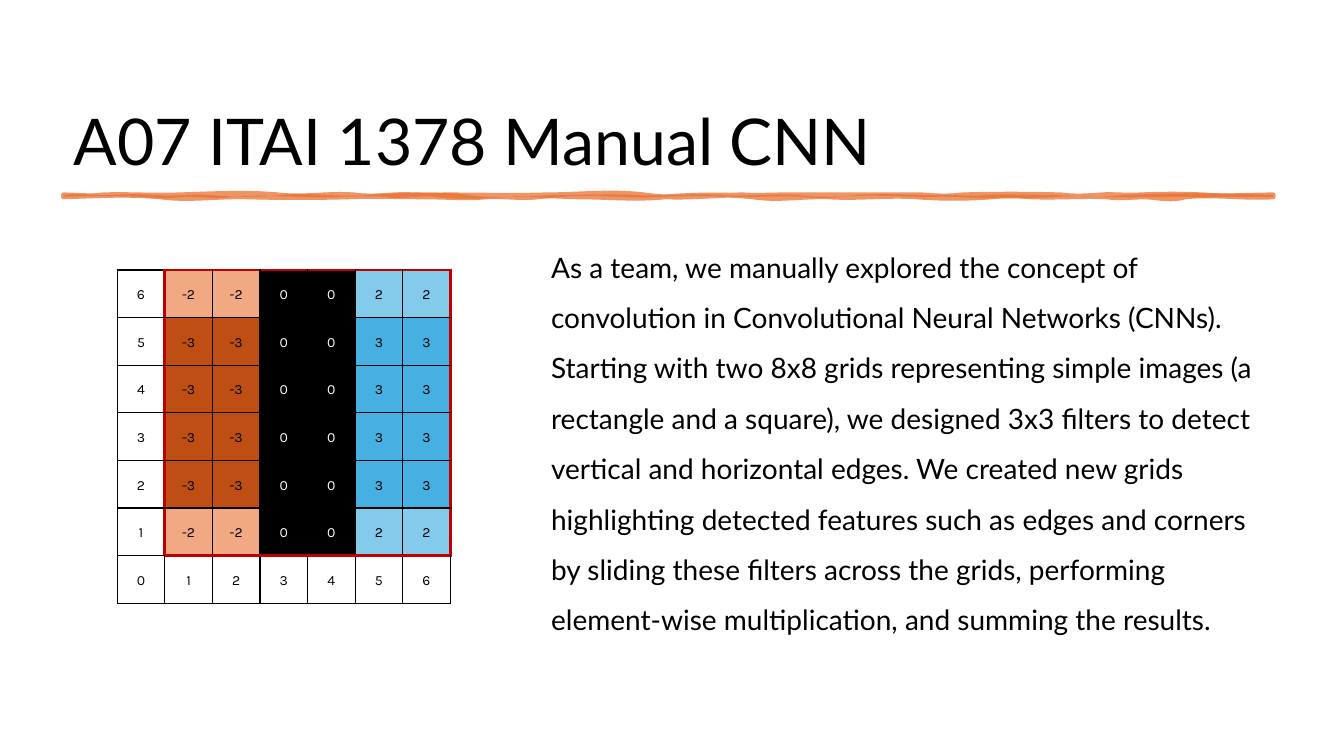
from typing import NamedTuple

from lxml.etree import SubElement
from pptx import Presentation
from pptx.dml.color import RGBColor
from pptx.enum.text import MSO_ANCHOR, PP_ALIGN
from pptx.oxml.ns import qn
from pptx.util import Pt

COLORS = {"black": "000000", "white": "FFFFFF", "orange": "E97132", "frame": "C00000"}
VALUE_FILLS = {-3: "BF4E14", -2: "F1A983", 0: "000000", 2: "83CAEB", 3: "45B0E1"}

CORNER_ROW = [-2, -2, 0, 0, 2, 2]
MIDDLE_ROW = [-3, -3, 0, 0, 3, 3]
FEATURE_MAP = [CORNER_ROW, *[MIDDLE_ROW] * 4, CORNER_ROW]
MAP_SIZE = len(FEATURE_MAP)
CELL_SIZE = 34

BODY = (
    "As a team, we manually explored the concept of convolution in Convolutional "
    "Neural Networks (CNNs). Starting with two 8x8 grids representing simple images "
    "(a rectangle and a square), we designed 3x3 filters to detect vertical and "
    "horizontal edges. We created new grids highlighting detected features such as "
    "edges and corners by sliding these filters across the grids, performing "
    "element-wise multiplication, and summing the results."
)


class TextBlock(NamedTuple):
    text: str
    left: float
    top: float
    width: float
    height: float
    size: float
    line_spacing: float
    anchor: MSO_ANCHOR


class Wave(NamedTuple):
    end: float
    first_bend: float
    second_bend: float


TEXT_BLOCKS = [
    TextBlock("A07 ITAI 1378 Manual CNN", 45.4, 18.7, 869.8, 113, 46, 0.9, MSO_ANCHOR.BOTTOM),
    TextBlock(BODY, 386.6, 163.2, 528.5, 324, 20, 1.5, MSO_ANCHOR.TOP),
]

RULE_LEFT, RULE_RIGHT = 45.4, 909.4
RULE_TOP, RULE_BOTTOM = 139.2, 140.6
STROKE_TOP = [
    Wave(73.4, 0, 1.4), Wave(127.4, -0.7, 0.7), Wave(198.7, -0.7, -2.2),
    Wave(252.7, 2.2, -1.4), Wave(280.8, 1.4, 0.7), Wave(317.5, -0.7, 0.7),
    Wave(388.8, 0, 0.7), Wave(460.1, 0, -2.9), Wave(531.4, 3.6, 0),
    Wave(559.4, 0.7, 0), Wave(613.4, 0, 0), Wave(658.8, 0, 0),
    Wave(686.9, 0.7, 1.4), Wave(758.2, -0.7, -0.7), Wave(786.2, 1.4, 0.7),
    Wave(814.3, -0.7, 0.7), Wave(859.7, -0.7, -0.7), Wave(RULE_RIGHT, 1.4, 0),
]
STROKE_BOTTOM = [
    Wave(846.7, 1.4, -2.2), Wave(818.6, 2.9, 0.7), Wave(790.6, 0, 1.4),
    Wave(736.6, -0.7, 0.7), Wave(708.5, -0.7, -1.4), Wave(654.5, 1.4, 1.4),
    Wave(591.8, -1.4, 1.4), Wave(537.8, -0.7, 2.9), Wave(475.2, -2.2, -1.4),
    Wave(412.6, 2.2, 0), Wave(384.5, 0, -1.4), Wave(347.8, 1.4, -0.7),
    Wave(302.4, 1.4, 0), Wave(248.4, 0, -0.7), Wave(177.1, 0.7, 0.7),
    Wave(114.5, -0.7, 2.9), Wave(RULE_LEFT, -2.2, -0.7),
]
FILL_TOP = [
    Wave(82.1, -1.4, 0.7), Wave(110.2, -0.7, -0.7), Wave(146.9, 1.4, -0.7),
    Wave(200.9, 1.4, 2.2), Wave(263.5, -2.2, 2.2), Wave(334.8, -1.4, -2.9),
    Wave(406.1, 3.6, 0), Wave(451.4, 0, -0.7), Wave(514.1, 1.4, -1.4),
    Wave(568.1, 1.4, -0.7), Wave(613.4, 1.4, 2.2), Wave(676.1, -1.4, 0.7),
    Wave(704.2, 0, 1.4), Wave(749.5, -0.7, 0), Wave(803.5, 0.7, 2.2),
    Wave(RULE_RIGHT, -1.4, -1.4),
]
FILL_BOTTOM = [
    Wave(872.6, 0, 0), Wave(844.6, 0.7, 0.7), Wave(790.6, 0, 0.7),
    Wave(753.8, -0.7, -0.7), Wave(682.6, 1.4, 1.4), Wave(654.5, -0.7, 0.7),
    Wave(600.5, -0.7, -1.4), Wave(572.4, 1.4, 0.7), Wave(535.7, -0.7, 0),
    Wave(473, 0, -1.4), Wave(401.8, 1.4, -2.2), Wave(365, 2.2, -1.4),
    Wave(311, 1.4, 2.2), Wave(274.3, -1.4, 2.2), Wave(211.7, -1.4, 1.4),
    Wave(166.3, -0.7, -1.4), Wave(129.6, 2.2, -0.7), Wave(101.5, 1.4, 1.4),
    Wave(RULE_LEFT, -0.7, -0.7),
]


def color(value: str) -> RGBColor:
    return RGBColor.from_string(value)


def style_span(span, font_name: str, size: float, fill: str) -> None:
    span.font.name = font_name
    span.font.size = Pt(size)
    span.font.color.rgb = color(fill)


def add_text(page, block: TextBlock) -> None:
    box = page.shapes.add_textbox(Pt(block.left), Pt(block.top), Pt(block.width), Pt(block.height))
    frame = box.text_frame
    frame.word_wrap = True
    frame.vertical_anchor = block.anchor
    frame.text = block.text
    para = frame.paragraphs[0]
    para.line_spacing = block.line_spacing
    style_span(para.runs[0], "Lato", block.size, COLORS["black"])


def add_step(outline, kind: str, points: list[tuple[float, float]]) -> None:
    step = SubElement(outline, qn(f"a:{kind}"))
    for x, y in points:
        SubElement(step, qn("a:pt"), x=str(Pt(x - RULE_LEFT)), y=str(Pt(y - RULE_TOP)))


def add_edge(outline, start: float, level: float, waves: list[Wave]) -> None:
    for wave in waves:
        third = (wave.end - start) / 3
        add_step(outline, "cubicBezTo", [
            (start + third, level + wave.first_bend),
            (wave.end - third, level + wave.second_bend),
            (wave.end, level),
        ])
        start = wave.end


def add_outline(outlines, top: list[Wave], bottom: list[Wave], **options: str) -> None:
    width, height = Pt(RULE_RIGHT - RULE_LEFT), Pt(RULE_BOTTOM - RULE_TOP)
    outline = SubElement(outlines, qn("a:path"), w=str(width), h=str(height), **options)
    add_step(outline, "moveTo", [(RULE_LEFT, RULE_TOP)])
    add_edge(outline, RULE_LEFT, RULE_TOP, top)
    add_step(outline, "lnTo", [(RULE_RIGHT, RULE_BOTTOM)])
    add_edge(outline, RULE_RIGHT, RULE_BOTTOM, bottom)
    SubElement(outline, qn("a:close"))


def add_brush_rule(page) -> None:
    left, right, top, bottom = map(Pt, (RULE_LEFT, RULE_RIGHT, RULE_TOP, RULE_BOTTOM))
    builder = page.shapes.build_freeform(left, top)
    builder.add_line_segments([(right, top), (right, bottom), (left, bottom)])
    rule = builder.convert_to_shape()
    outlines = next(rule.element.spPr.iter(qn("a:pathLst")))
    outlines.remove(outlines[0])
    add_outline(outlines, STROKE_TOP, STROKE_BOTTOM, fill="none")
    add_outline(outlines, FILL_TOP, FILL_BOTTOM, stroke="0")
    rule.shadow.inherit = False
    rule.line.width = Pt(3.5)
    for paint in (rule.fill, rule.line.fill):
        paint.solid()
        paint.fore_color.rgb = color(COLORS["orange"])
    for shade in rule.element.spPr.iter(qn("a:srgbClr")):
        SubElement(shade, qn("a:alpha"), val="75000")


def add_border(cell, side: str, framed: bool) -> None:
    width = Pt(2.25 if framed else 1)
    line = SubElement(cell._tc.get_or_add_tcPr(), qn(f"a:ln{side}"), w=str(width))
    paint = SubElement(line, qn("a:solidFill"))
    SubElement(paint, qn("a:srgbClr"), val=COLORS["frame" if framed else "black"])


def style_cell(cell, row: int, column: int, value: int) -> None:
    in_rows, in_columns = row < MAP_SIZE, column > 0
    in_map = in_rows and in_columns
    add_border(cell, "L", in_rows and column == 1)
    add_border(cell, "R", in_rows and column in (0, MAP_SIZE))
    add_border(cell, "T", in_columns and row in (0, MAP_SIZE))
    add_border(cell, "B", in_columns and row == MAP_SIZE - 1)
    cell.fill.solid()
    cell.fill.fore_color.rgb = color(VALUE_FILLS[value] if in_map else COLORS["white"])
    cell.margin_left = cell.margin_right = Pt(4.3)
    cell.margin_top = cell.margin_bottom = Pt(0)
    cell.vertical_anchor = MSO_ANCHOR.MIDDLE
    cell.text_frame.text = str(value)
    para = cell.text_frame.paragraphs[0]
    para.alignment = PP_ALIGN.CENTER
    para.line_spacing = 1.16
    style_span(para.runs[0], "Karla", 10, COLORS["white" if in_map and value == 0 else "black"])


def add_feature_map(page) -> None:
    grid = [[MAP_SIZE - index, *values] for index, values in enumerate(FEATURE_MAP)]
    grid.append(list(range(MAP_SIZE + 1)))
    count = len(grid)
    side = Pt(CELL_SIZE * count)
    table = page.shapes.add_table(count, count, Pt(83.7), Pt(192.9), side, side).table
    table.first_row = table.horz_banding = False
    for row, values in enumerate(grid):
        for column, value in enumerate(values):
            style_cell(table.cell(row, column), row, column, value)


def main() -> None:
    deck = Presentation()
    deck.slide_width, deck.slide_height = Pt(960), Pt(540)
    page = deck.slides.add_slide(deck.slide_layouts[6])
    add_brush_rule(page)
    for block in TEXT_BLOCKS:
        add_text(page, block)
    add_feature_map(page)
    deck.save("out.pptx")


if __name__ == "__main__":
    main()
